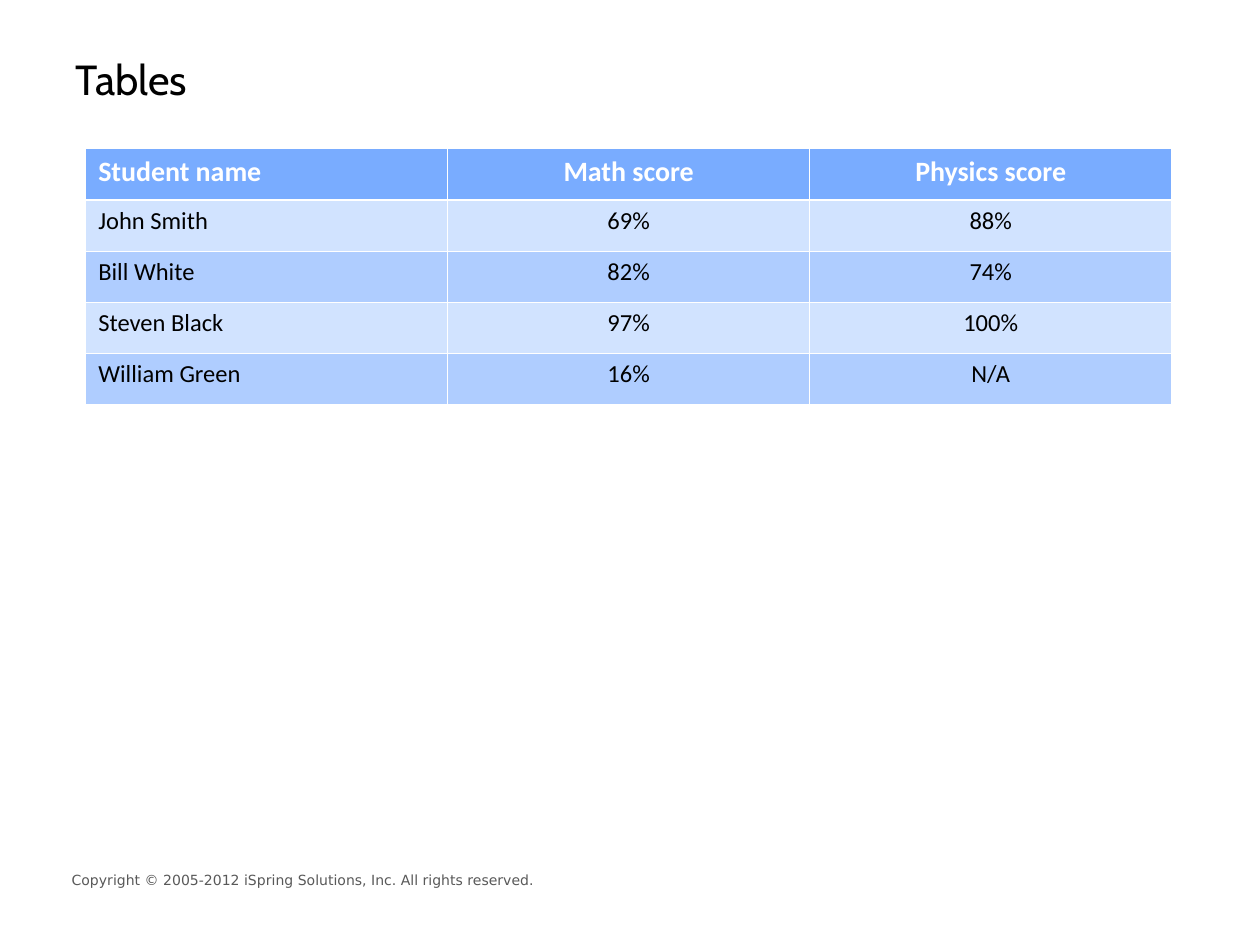
from dataclasses import dataclass

from lxml import etree
from pptx import Presentation
from pptx.dml.color import RGBColor
from pptx.enum.text import MSO_ANCHOR, PP_ALIGN
from pptx.oxml.ns import qn
from pptx.util import Inches, Pt

MIDDLE = MSO_ANCHOR.MIDDLE
LEFT, CENTER = PP_ALIGN.LEFT, PP_ALIGN.CENTER

WHITE, BLACK, GREY = "FFFFFF", "000000", "595959"
HEADER_FILL = "79ACFF"
BAND_FILLS = ("D1E3FF", "AFCDFF")
THIN, THICK = 0.45, 1.47

SCORES = [
    ("Student name", "Math score", "Physics score"),
    ("John Smith", "69%", "88%"),
    ("Bill White", "82%", "74%"),
    ("Steven Black", "97%", "100%"),
    ("William Green", "16%", "N/A"),
]


@dataclass
class Style:
    font: str
    size: float
    color: str
    bold: bool = False


TITLE = Style("Cabin", 24, BLACK)
FOOTER = Style("DejaVu Sans", 8, GREY)
HEADER = Style("Calibri", 16, WHITE, True)
BODY = Style("Calibri", 14, BLACK)


def rgb(color: str) -> RGBColor:
    return RGBColor.from_string(color)


def write(tf, text: str, style: Style, align=LEFT) -> None:
    p = tf.paragraphs[0]
    p.text = text
    p.alignment = align
    p.font.name = style.font
    p.font.size = Pt(style.size)
    p.font.bold = style.bold
    p.font.color.rgb = rgb(style.color)


def add_text(slide, left: float, top: float, width: float, height: float,
             text: str, style: Style) -> None:
    box = slide.shapes.add_textbox(
        Inches(left), Inches(top), Inches(width), Inches(height))
    tf = box.text_frame
    tf.word_wrap = True
    tf.vertical_anchor = MIDDLE
    write(tf, text, style)


def add_border(cell, side: str, width: float) -> None:
    """Draw a white line on one side (L, R, T or B); call before filling."""
    ln = etree.SubElement(cell._tc.get_or_add_tcPr(), qn(f"a:ln{side}"),
                          w=str(Pt(width)))
    fill = etree.SubElement(ln, qn("a:solidFill"))
    etree.SubElement(fill, qn("a:srgbClr"), val=WHITE)


def add_score_table(slide) -> None:
    n_rows, n_cols = len(SCORES), len(SCORES[0])
    table = slide.shapes.add_table(
        n_rows, n_cols, Inches(0.68), Inches(1.18),
        Inches(8.62), Inches(2.03)).table
    for r, row in enumerate(SCORES):
        is_header = r == 0
        fill = HEADER_FILL if is_header else BAND_FILLS[(r - 1) % 2]
        top = THICK if r == 1 else THIN
        bottom = THICK if is_header else THIN
        for c, text in enumerate(row):
            cell = table.cell(r, c)
            for side, width in zip("LRTB", (THIN, THIN, top, bottom)):
                add_border(cell, side, width)
            cell.fill.solid()
            cell.fill.fore_color.rgb = rgb(fill)
            write(cell.text_frame, text, HEADER if is_header else BODY,
                  LEFT if c == 0 else CENTER)


def main() -> None:
    prs = Presentation()
    prs.slide_width, prs.slide_height = Inches(10), Inches(7.5)
    slide = prs.slides.add_slide(prs.slide_layouts[6])
    add_text(slide, 0.47, 6.8, 4.45, 0.36,
             "Copyright © 2005-2012 iSpring Solutions, Inc. All rights reserved.",
             FOOTER)
    add_text(slide, 0.5, 0, 9, 1.25, "Tables", TITLE)
    add_score_table(slide)
    prs.save("out.pptx")


if __name__ == "__main__":
    main()
